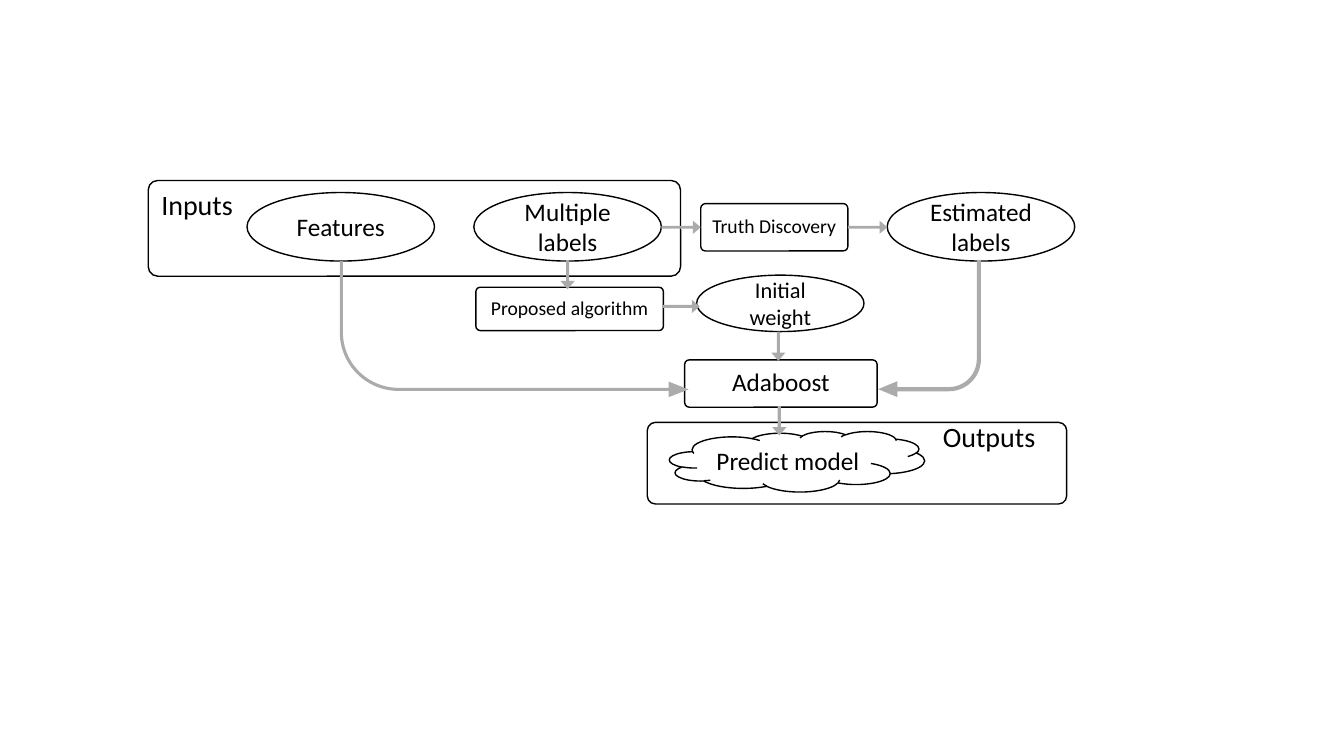
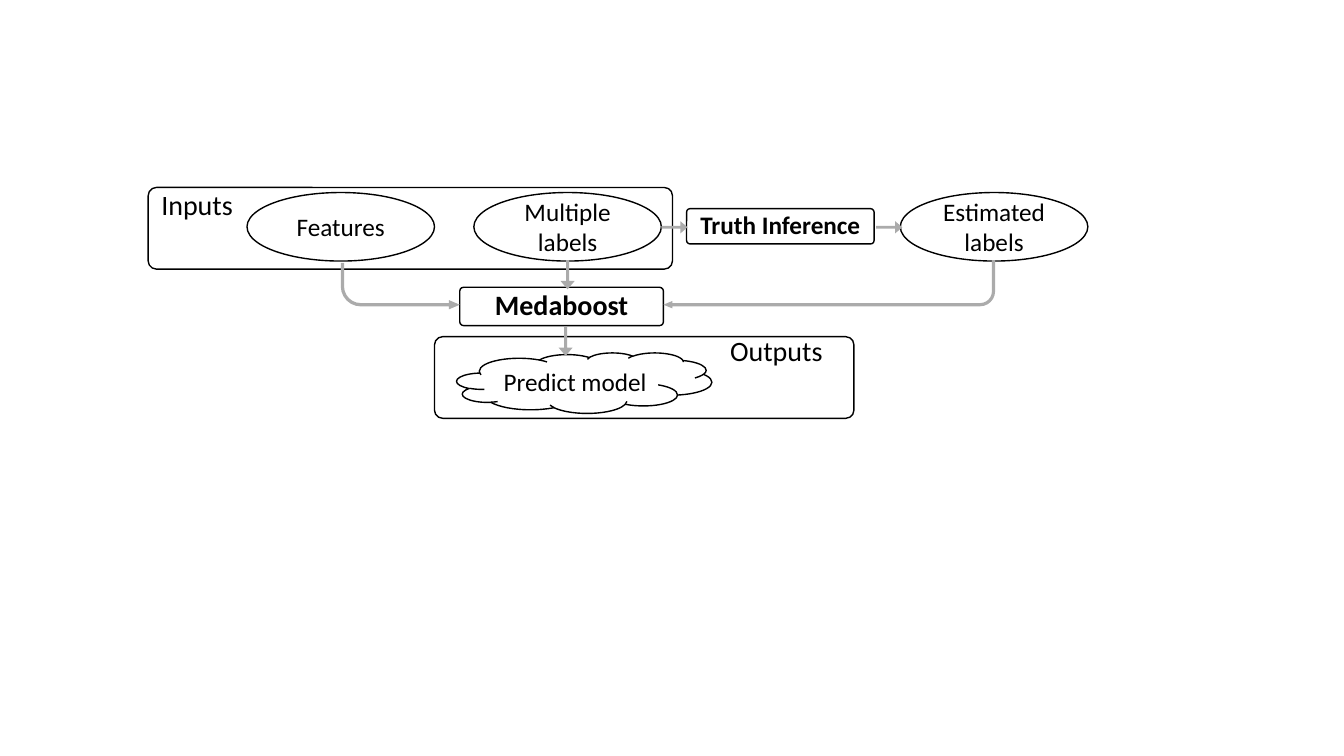
from dataclasses import dataclass

from pptx import Presentation
from pptx import util as u
from pptx.dml.color import RGBColor
from pptx.enum import shapes, text
from pptx.oxml.ns import qn

Preset = shapes.MSO_SHAPE
Align = text.PP_ALIGN


@dataclass(frozen=True)
class Theme:
    font: str = "Calibri"
    ink: RGBColor = RGBColor(0x00, 0x00, 0x00)
    paper: RGBColor = RGBColor(0xFF, 0xFF, 0xFF)
    arrow: RGBColor = RGBColor(0xAB, 0xAB, 0xAB)
    outline: float = 1
    heading: int = 20
    body: int = 18
    medium: int = 16
    small: int = 14
    inset: float = 0.07
    corner: float = 0.1
    arrow_shape: tuple = (0.22, 0.588)


THEME = Theme()


def write(shape, words, size=THEME.body, bold=False, align=Align.CENTER, spacing=1.0):
    frame = shape.text_frame
    frame.word_wrap = True
    frame.vertical_anchor = text.MSO_ANCHOR.MIDDLE
    frame.margin_left = frame.margin_right = u.Inches(THEME.inset)
    frame.margin_top = frame.margin_bottom = u.Inches(THEME.inset)
    for number, line in enumerate(words.split("\n")):
        para = frame.add_paragraph() if number else frame.paragraphs[0]
        para.alignment = align
        para.line_spacing = spacing
        span = para.add_run()
        span.text = line
        span.font.name = THEME.font
        span.font.size = u.Pt(size)
        span.font.bold = bold
        span.font.color.rgb = THEME.ink


class Diagram:
    """Draws flow-chart elements on the current slide."""

    def __init__(self, deck):
        self.deck = deck
        self.page = None

    def new_page(self):
        self.page = self.deck.slides.add_slide(self.deck.slide_layouts[6])

    def shape(self, preset, left, top, width, height, fill, adjustments=()):
        item = self.page.shapes.add_shape(
            preset, u.Inches(left), u.Inches(top), u.Inches(width), u.Inches(height))
        item.shadow.inherit = False
        item.fill.solid()
        item.fill.fore_color.rgb = fill
        item.line.fill.background()
        for index, value in enumerate(adjustments):
            item.adjustments[index] = value
        return item

    def outlined(self, preset, *place, adjustments=()):
        item = self.shape(preset, *place, THEME.paper, adjustments)
        item.line.color.rgb = THEME.ink
        item.line.width = u.Pt(THEME.outline)
        return item

    def frame(self, *place):
        return self.outlined(Preset.ROUNDED_RECTANGLE, *place, adjustments=(THEME.corner,))

    def step(self, words, *place, **style):
        write(self.frame(*place), words, spacing=0.9, **style)

    def oval(self, words, left, top=1.91, width=1.86, height=0.68, **style):
        write(self.outlined(Preset.OVAL, left, top, width, height), words, **style)

    def cloud(self, words, *place):
        write(self.outlined(Preset.CLOUD, *place), words)

    def label(self, words, left, top, align):
        box = self.page.shapes.add_textbox(
            u.Inches(left), u.Inches(top), u.Inches(1.2), u.Inches(0.4))
        write(box, words, size=THEME.heading, align=align, spacing=0.9)

    def right_arrow(self, left, length, middle=2.255, thickness=0.13):
        self.shape(Preset.RIGHT_ARROW, left, middle - thickness / 2, length, thickness,
                   THEME.arrow, THEME.arrow_shape)

    def down_arrow(self, middle, top, length=0.29, thickness=0.14):
        self.shape(Preset.DOWN_ARROW, middle - thickness / 2, top, thickness, length,
                   THEME.arrow, THEME.arrow_shape)

    def bent_arrow(self, *place, adjustments, leftward=False):
        """Runs down, then turns right, or left if leftward."""
        item = self.shape(Preset.BENT_ARROW, *place, THEME.arrow, adjustments)
        xfrm = item.element.spPr.find(qn("a:xfrm"))
        xfrm.set("flipV", "1")
        if leftward:
            xfrm.set("flipH", "1")

    def inputs(self, top, width, height):
        self.frame(1.47, top, width, height)
        self.label("Inputs", 1.53, 1.85, Align.LEFT)
        self.oval("Features", 2.45)
        self.oval("Multiple labels", 4.7)

    def outputs(self, left, top, cloud_drop):
        self.frame(left, top, 4.16, 0.81)
        self.label("Outputs", left + 2.79, top - 0.04, Align.CENTER)
        self.cloud("Predict model", left + 0.22, top + cloud_drop, 2.53, 0.6)


def draw_adaboost(diagram):
    diagram.new_page()
    diagram.outputs(6.42, 4.19, cloud_drop=0.09)
    diagram.inputs(1.79, 5.28, 0.95)
    diagram.step("Adaboost", 6.79, 3.57, 1.91, 0.47)
    diagram.step("Proposed algorithm", 4.72, 2.85, 1.86, 0.43, size=THEME.small)
    diagram.step("Truth Discovery", 6.95, 2.02, 1.46, 0.47, size=THEME.small)
    diagram.oval("Estimated\nlabels", 8.8)
    diagram.oval("Initial weight", 6.91, 2.73, 1.66, 0.56, size=THEME.medium)
    diagram.right_arrow(6.56, 0.39)
    diagram.right_arrow(8.41, 0.39)
    diagram.right_arrow(6.57, 0.37, middle=3.04)
    for middle, top in ((5.63, 2.58), (7.72, 3.29), (7.73, 4.03)):
        diagram.down_arrow(middle, top)
    diagram.bent_arrow(3.37, 2.59, 3.46, 1.35, adjustments=(0.023, 0.057, 0.146, 0.432))
    diagram.bent_arrow(8.71, 2.58, 1.02, 1.36, leftward=True,
                       adjustments=(0.041, 0.077, 0.186, 0.312))


def draw_medaboost(diagram):
    diagram.new_page()
    diagram.outputs(4.31, 3.34, cloud_drop=0.16)
    diagram.inputs(1.86, 5.2, 0.81)
    diagram.step("Medaboost", 4.56, 2.85, 2.02, 0.38, size=THEME.heading, bold=True)
    diagram.step("Truth Inference", 6.81, 2.07, 1.86, 0.35, bold=True)
    diagram.oval("Estimated\nlabels", 8.93)
    for left in (6.56, 8.69):
        diagram.right_arrow(left, 0.26, thickness=0.12)
    for middle, top in ((5.63, 2.58), (5.61, 3.24)):
        diagram.down_arrow(middle, top)
    diagram.bent_arrow(3.38, 2.61, 1.18, 0.46, adjustments=(0.071, 0.1, 0.233, 0.432))
    diagram.bent_arrow(6.58, 2.58, 3.29, 0.48, leftward=True,
                       adjustments=(0.066, 0.077, 0.186, 0.312))


def main():
    deck = Presentation()
    deck.slide_width = u.Inches(13.33)
    deck.slide_height = u.Inches(7.5)
    diagram = Diagram(deck)
    draw_adaboost(diagram)
    draw_medaboost(diagram)
    deck.save("out.pptx")


if __name__ == "__main__":
    main()
